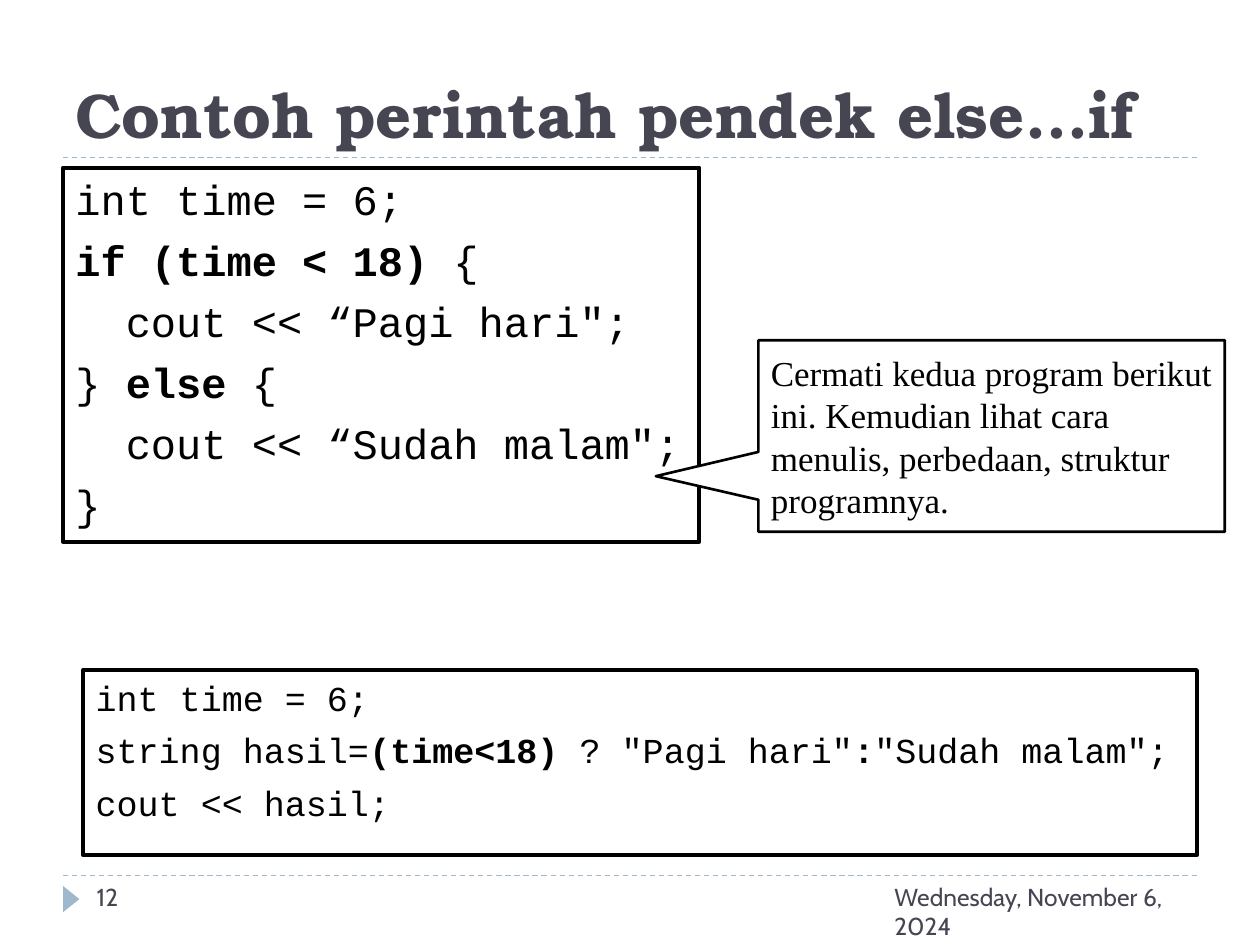
import dataclasses

import pptx
import pptx.dml.color
import pptx.enum.dml
import pptx.enum.shapes
import pptx.enum.text
import pptx.oxml
import pptx.util

Cm = pptx.util.Cm
Pt = pptx.util.Pt
Shapes = pptx.enum.shapes.MSO_SHAPE
Anchor = pptx.enum.text.MSO_ANCHOR


@dataclasses.dataclass(frozen=True)
class Theme:
    ink: str = "000000"
    heading: str = "464653"
    accent: str = "9FB8CD"
    paper: str = "FFFFFF"
    heading_font: str = "TeX Gyre Bonum"
    code_font: str = "Courier New"
    note_font: str = "Times New Roman"
    footer_font: str = "Cabin"
    heading_size: int = 36
    code_size: int = 24
    small_size: int = 20
    footer_size: int = 14


THEME = Theme()

# Each code line is a list of (text, bold) pieces
IF_ELSE_CODE = [
    [("int time = 6;", False)],
    [("if (time < 18) ", True), ("{", False)],
    [("  cout << “Pagi hari\";", False)],
    [("} ", False), ("else", True), (" {", False)],
    [("  cout << “Sudah malam\";", False)],
    [("}", False)],
]
SHORT_CODE = [
    [("int time = 6;", False)],
    [("string hasil=", False), ("(time<18) ", True), ("? \"Pagi hari\"", False),
     (":", True), ("\"Sudah malam\";", False)],
    [("cout << hasil;", False)],
]


def rgb(value):
    return pptx.dml.color.RGBColor.from_string(value)


def apply_format(target, values):
    for name, value in values.items():
        setattr(target, name, value)


def write_text(shape, lines, font, size, color, anchor=Anchor.TOP, spacing=None):
    frame = shape.text_frame
    apply_format(frame, {"word_wrap": True, "vertical_anchor": anchor})
    for index, pieces in enumerate(lines):
        paragraph = frame.paragraphs[0] if index == 0 else frame.add_paragraph()
        apply_format(paragraph, {"alignment": pptx.enum.text.PP_ALIGN.LEFT,
                                 **(spacing or {})})
        for text, bold in pieces:
            run = paragraph.add_run()
            run.text = text
            apply_format(run.font, {"name": font, "size": Pt(size), "bold": bold})
            run.font.color.rgb = rgb(color)


def add_label(slide, box, text, font, size, bold=False, anchor=Anchor.TOP):
    shape = slide.shapes.add_textbox(*map(Cm, box))
    write_text(shape, [[(text, bold)]], font, size, THEME.heading, anchor)


def add_panel(slide, kind, box, fill=None, line=None, width=0):
    shape = slide.shapes.add_shape(kind, *map(Cm, box))
    shape.shadow.inherit = False
    if fill:
        shape.fill.solid()
        shape.fill.fore_color.rgb = rgb(fill)
    else:
        shape.fill.background()
    if line:
        shape.line.color.rgb = rgb(line)
        shape.line.width = Pt(width)
    else:
        shape.line.fill.background()
    return shape


def add_code(slide, box, lines, size):
    panel = add_panel(slide, Shapes.RECTANGLE, box, line=THEME.ink, width=2.25)
    write_text(panel, lines, THEME.code_font, size, THEME.ink,
               spacing={"space_before": Pt(6), "space_after": Pt(0)})


def add_rule(slide, top):
    rule = slide.shapes.add_connector(
        pptx.enum.shapes.MSO_CONNECTOR.STRAIGHT,
        Cm(1.27), Cm(top), Cm(24.13), Cm(top))
    apply_format(rule.line, {"width": Pt(0.75),
                             "dash_style": pptx.enum.dml.MSO_LINE.DASH})
    rule.line.color.rgb = rgb(THEME.accent)
    rule.element.spPr.append(pptx.oxml.parse_xml(
        '<a:effectLst xmlns:a="http://schemas.openxmlformats.org/drawingml/2006/main"/>'))


def add_callout(slide, box, text, tip):
    callout = add_panel(slide, Shapes.RECTANGULAR_CALLOUT, box,
                        fill=THEME.paper, line=THEME.ink, width=1.5)
    for index, value in enumerate(tip):
        callout.adjustments[index] = value
    write_text(callout, [[(text, False)]], THEME.note_font, THEME.small_size,
               THEME.ink, Anchor.MIDDLE)


def main():
    presentation = pptx.Presentation()
    apply_format(presentation, {"slide_width": Cm(25.4), "slide_height": Cm(19.05)})
    slide = presentation.slides.add_slide(presentation.slide_layouts[6])

    # Rules and footer marker
    for top in (17.65, 3.18):
        add_rule(slide, top)
    marker = add_panel(slide, Shapes.ISOSCELES_TRIANGLE,
                       (1.17, 17.96, 0.53, 0.33), fill=THEME.accent)
    marker.rotation = 90

    # Title and footer
    add_label(slide, (1.27, 0.43, 22.86, 2.75), "Contoh perintah pendek else…if",
              THEME.heading_font, THEME.heading_size, True, Anchor.BOTTOM)
    for left, width, text in ((17.78, 6.35, "Wednesday, November 6, 2024"),
                              (1.7, 5.51, "12")):
        add_label(slide, (left, 17.65, width, 1.02), text,
                  THEME.footer_font, THEME.footer_size)

    # Code panels
    add_code(slide, (1.27, 3.38, 12.83, 7.54), IF_ELSE_CODE, THEME.code_size)
    add_code(slide, (1.68, 13.51, 22.45, 3.73), SHORT_CODE, THEME.small_size)

    # Note pointing at the first program
    add_callout(slide, (15.29, 6.86, 9.4, 3.86),
                "Cermati kedua program berikut ini. Kemudian lihat cara menulis, "
                "perbedaan, struktur programnya.", (-0.72, 0.21))

    presentation.save("out.pptx")


if __name__ == "__main__":
    main()
